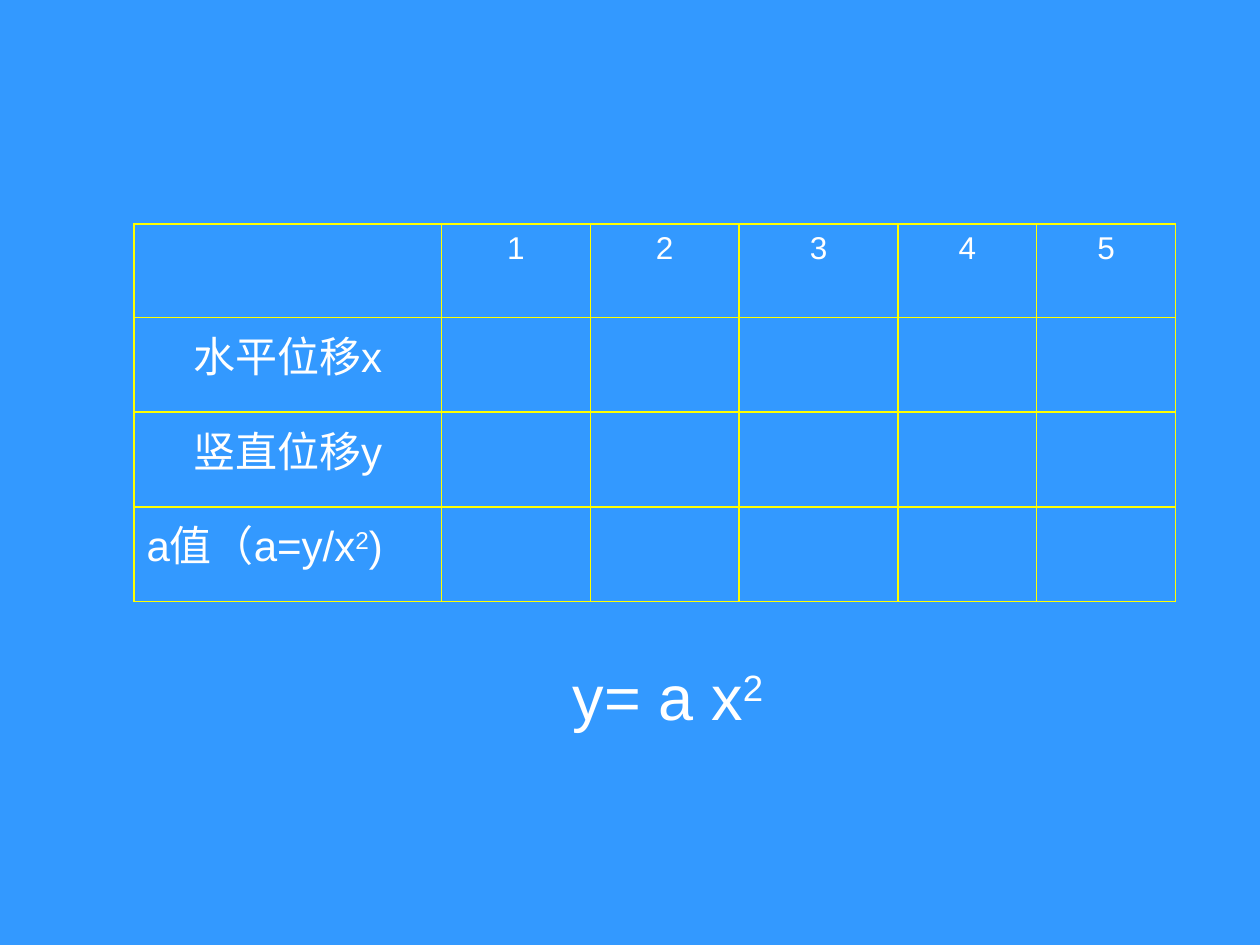
from lxml.etree import SubElement
from pptx import Presentation
from pptx.dml.color import RGBColor
from pptx.enum.text import MSO_AUTO_SIZE, PP_ALIGN
from pptx.oxml.ns import qn
from pptx.util import Cm, Pt


def color(value):
    return RGBColor.from_string(value)


class SlideBuilder:
    """Holds the style and the current slide, and adds each kind of element."""

    background = "3399FF"
    border = "FFFF00"
    font = {"name": "Arial"}
    text_color = "FFFFFF"

    def __init__(self, presentation):
        self.slide = presentation.slides.add_slide(presentation.slide_layouts[6])
        fill = self.slide.background.fill
        fill.solid()
        fill.fore_color.rgb = color(self.background)

    def add_runs(self, paragraph, text, size, alignment=PP_ALIGN.LEFT):
        paragraph.alignment = alignment
        for position, part in enumerate(text.split("^")):
            if not part:
                continue
            run = paragraph.add_run()
            run.text = part
            for name, value in {**self.font, "size": Pt(size)}.items():
                setattr(run.font, name, value)
            run.font.color.rgb = color(self.text_color)
            if position % 2:
                run._r.get_or_add_rPr().set("baseline", "30000")

    def outline(self, cell):
        properties = cell._tc.get_or_add_tcPr()
        for side in ("a:lnL", "a:lnR", "a:lnT", "a:lnB"):
            line = SubElement(properties, qn(side), w=str(Pt(1)))
            fill = SubElement(line, qn("a:solidFill"))
            SubElement(fill, qn("a:srgbClr"), val=self.border)

    def table(self, left, top, widths, heights, entries):
        shape = self.slide.shapes.add_table(
            len(heights), len(widths), Cm(left), Cm(top), Cm(sum(widths)), Cm(sum(heights))
        )
        table = shape.table
        for flag in ("first_row", "horz_banding"):
            setattr(table, flag, False)
        for column, width in zip(table.columns, widths):
            column.width = Cm(width)
        for row, height in zip(table.rows, heights):
            row.height = Cm(height)
        for cell in table.iter_cells():
            self.outline(cell)
            cell.fill.background()
        for (row, column), entry in entries.items():
            self.add_runs(table.cell(row, column).text_frame.paragraphs[0], *entry)

    def text(self, left, top, width, height, text, size):
        shape = self.slide.shapes.add_textbox(Cm(left), Cm(top), Cm(width), Cm(height))
        frame = shape.text_frame
        for name, value in {"word_wrap": False, "auto_size": MSO_AUTO_SIZE.SHAPE_TO_FIT_TEXT}.items():
            setattr(frame, name, value)
        self.add_runs(frame.paragraphs[0], text, size)


def main():
    presentation = Presentation()
    presentation.slide_width, presentation.slide_height = Cm(25.4), Cm(19.05)
    builder = SlideBuilder(presentation)
    entries = {(0, trial): (str(trial), 18, PP_ALIGN.CENTER) for trial in range(1, 6)}
    entries[1, 0] = ("水平位移x", 24, PP_ALIGN.CENTER)
    entries[2, 0] = ("竖直位移y", 24, PP_ALIGN.CENTER)
    entries[3, 0] = ("a值（a=y/x^2^)", 24)
    builder.table(2.7, 4.52, [6.2, 3, 3, 3.2, 2.8, 2.8], [1.88] + [1.91] * 3, entries)
    builder.text(11.3, 13.13, 4.39, 1.78, "y= a x^2", 36)
    presentation.save("out.pptx")


if __name__ == "__main__":
    main()
